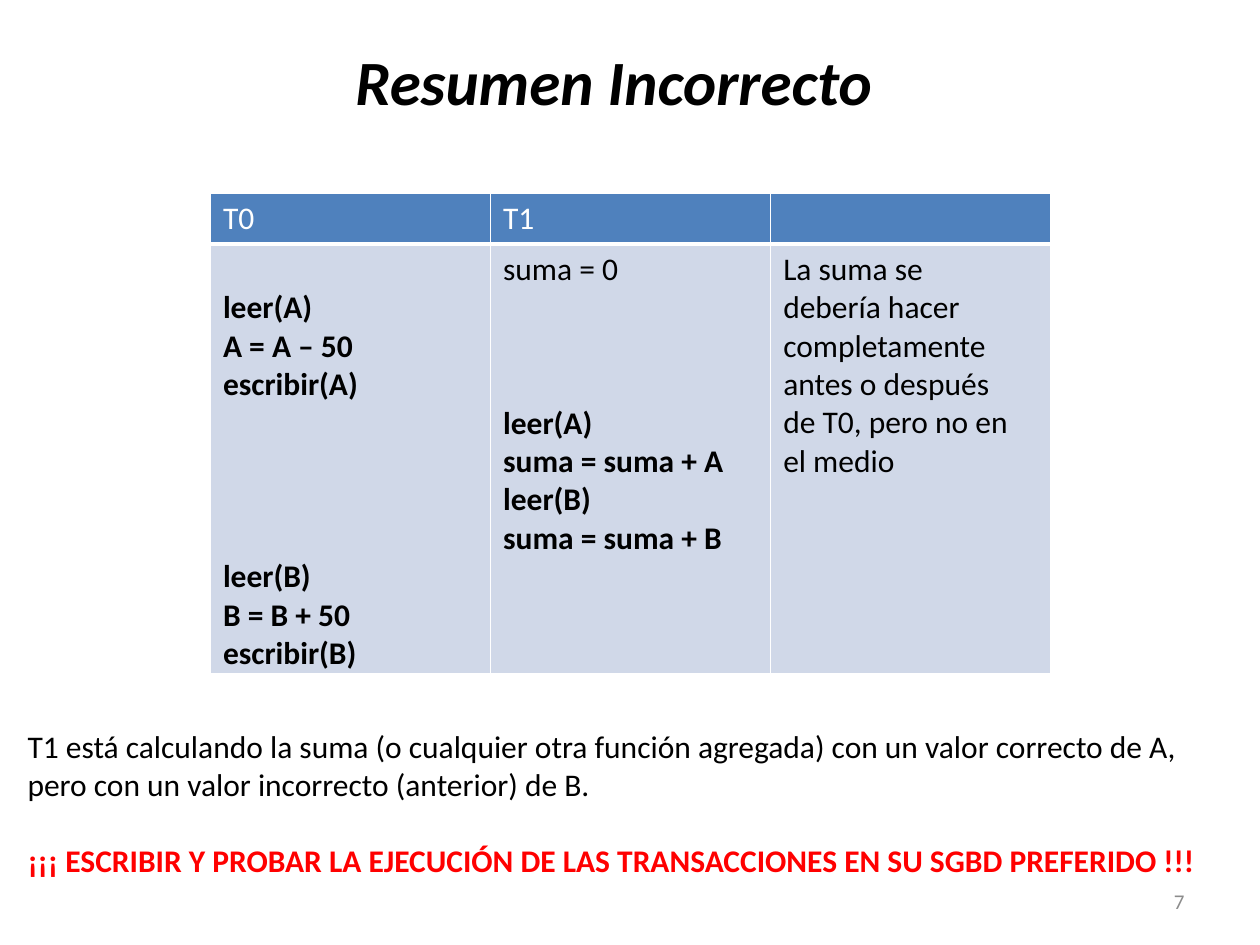
"""Builds the slide on the incorrect summary problem between two transactions."""
from pptx import Presentation
from pptx.dml.color import RGBColor
from pptx.enum.text import MSO_ANCHOR, PP_ALIGN
from pptx.oxml import parse_xml
from pptx.oxml.ns import nsdecls
from pptx.util import Inches, Pt

THEME = {
    "font": "Calibri",
    "black": RGBColor(0x00, 0x00, 0x00),
    "white": RGBColor(0xFF, 0xFF, 0xFF),
    "red": RGBColor(0xFF, 0x00, 0x00),
    "grey": RGBColor(0x8C, 0x8C, 0x8C),
    "header": RGBColor(0x4F, 0x81, 0xBD),
    "body": RGBColor(0xD0, 0xD8, 0xE8),
    "title_size": Pt(36),
    "text_size": Pt(18),
    "number_size": Pt(12),
    "line": 22,
}


def write(frame, lines, size="text_size", align=PP_ALIGN.LEFT):
    """Fill a frame with (text, colour, bold, blank lines before) entries."""
    for index, (text, color, bold, gap) in enumerate(lines):
        paragraph = frame.paragraphs[0] if index == 0 else frame.add_paragraph()
        paragraph.text = text
        formats = {"name": THEME["font"], "size": THEME[size], "bold": bold}
        for key, value in formats.items():
            setattr(paragraph.font, key, value)
        paragraph.font.color.rgb = THEME[color]
        paragraph.alignment = align
        if gap:
            paragraph.space_before = Pt(gap * THEME["line"])


def set_borders(cell, widths):
    """Draw white borders, given in points by side."""
    properties = cell._tc.get_or_add_tcPr()
    for position, (side, width) in enumerate(widths.items()):
        properties.insert(position, parse_xml(
            f'<a:ln{side} {nsdecls("a")} w="{Pt(width)}"><a:solidFill>'
            f'<a:srgbClr val="{THEME["white"]}"/></a:solidFill></a:ln{side}>'))


prs = Presentation()
prs.slide_width, prs.slide_height = Inches(10), Inches(7.5)
slide = prs.slides.add_slide(prs.slide_layouts[5])

title = slide.shapes.title
title_box = {"left": 2.72, "top": 0.29, "width": 4.34, "height": 0.71}
for key, value in title_box.items():
    setattr(title, key, Inches(value))
title.text_frame.word_wrap = False
title.text_frame.vertical_anchor = MSO_ANCHOR.TOP
write(title.text_frame, [("Resumen Incorrecto", "black", True, 0)], "title_size")
title.text_frame.paragraphs[0].font.italic = True

headers = ["T0", "T1", ""]
steps = [
    [("leer(A)", True, 0), ("A = A – 50", True, 0), ("escribir(A)", True, 0),
     ("leer(B)", True, 4), ("B = B + 50", True, 0), ("escribir(B)", True, 0)],
    [("suma = 0", False, 0), ("leer(A)", True, 3), ("suma = suma + A", True, 0),
     ("leer(B)", True, 0), ("suma = suma + B", True, 0)],
    [(text, False, 0) for text in (
        "La suma se", "debería hacer", "completamente",
        "antes o después", "de T0, pero no en", "el medio")],
]
schedule = slide.shapes.add_table(
    2, 3, Inches(1.67), Inches(1.53), Inches(6.67), Inches(3.8)).table
schedule.rows[0].height, schedule.rows[1].height = Inches(0.4), Inches(3.4)
for column, (header, operations) in enumerate(zip(headers, steps)):
    schedule.columns[column].width = Inches(6.67 / 3)
    head, body = schedule.cell(0, column), schedule.cell(1, column)
    for cell, fill in ((head, "header"), (body, "body")):
        cell.fill.solid()
        cell.fill.fore_color.rgb = THEME[fill]
    set_borders(head, {"L": 1, "R": 1, "T": 1, "B": 3})
    set_borders(body, {"L": 1, "R": 1, "T": 3, "B": 1})
    write(head.text_frame, [(header, "white", False, 0)])
    write(body.text_frame,
          [(text, "black", bold, gap) for text, bold, gap in operations])
    body.margin_bottom = 0
schedule.cell(1, 0).margin_top = Inches(0.05) + Pt(THEME["line"])

conclusion = slide.shapes.add_textbox(
    Inches(0.12), Inches(5.72), Inches(9.69), Inches(1.62)).text_frame
conclusion.word_wrap = True
write(conclusion, [
    ("T1 está calculando la suma (o cualquier otra función agregada) con un valor "
     "correcto de A, pero con un valor incorrecto (anterior) de B.", "black", False, 0),
    ("¡¡¡ ESCRIBIR Y PROBAR LA EJECUCIÓN DE LAS TRANSACCIONES EN SU SGBD PREFERIDO !!!",
     "red", True, 1),
])

page_number = slide.shapes.add_textbox(
    Inches(7.17), Inches(6.95), Inches(2.33), Inches(0.4)).text_frame
page_number.word_wrap = True
page_number.vertical_anchor = MSO_ANCHOR.MIDDLE
write(page_number, [("7", "grey", False, 0)], "number_size", PP_ALIGN.RIGHT)

prs.save("out.pptx")
